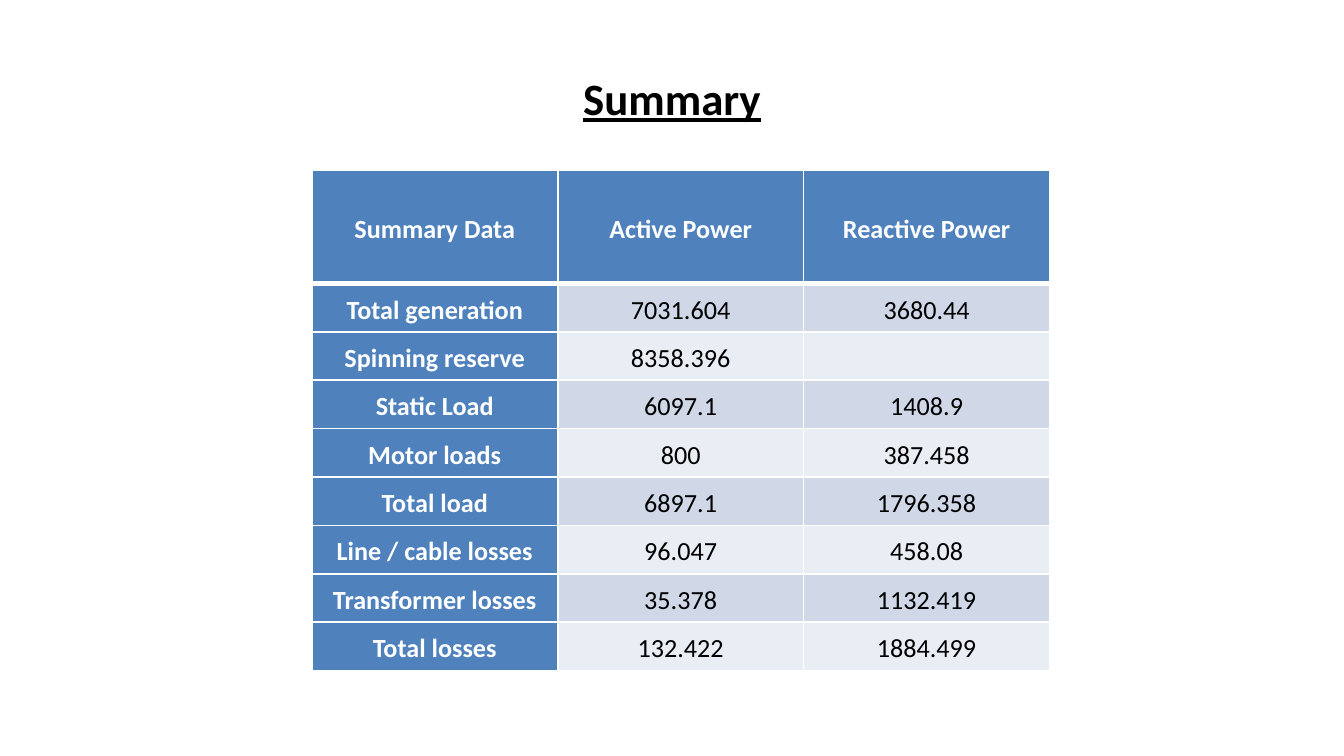
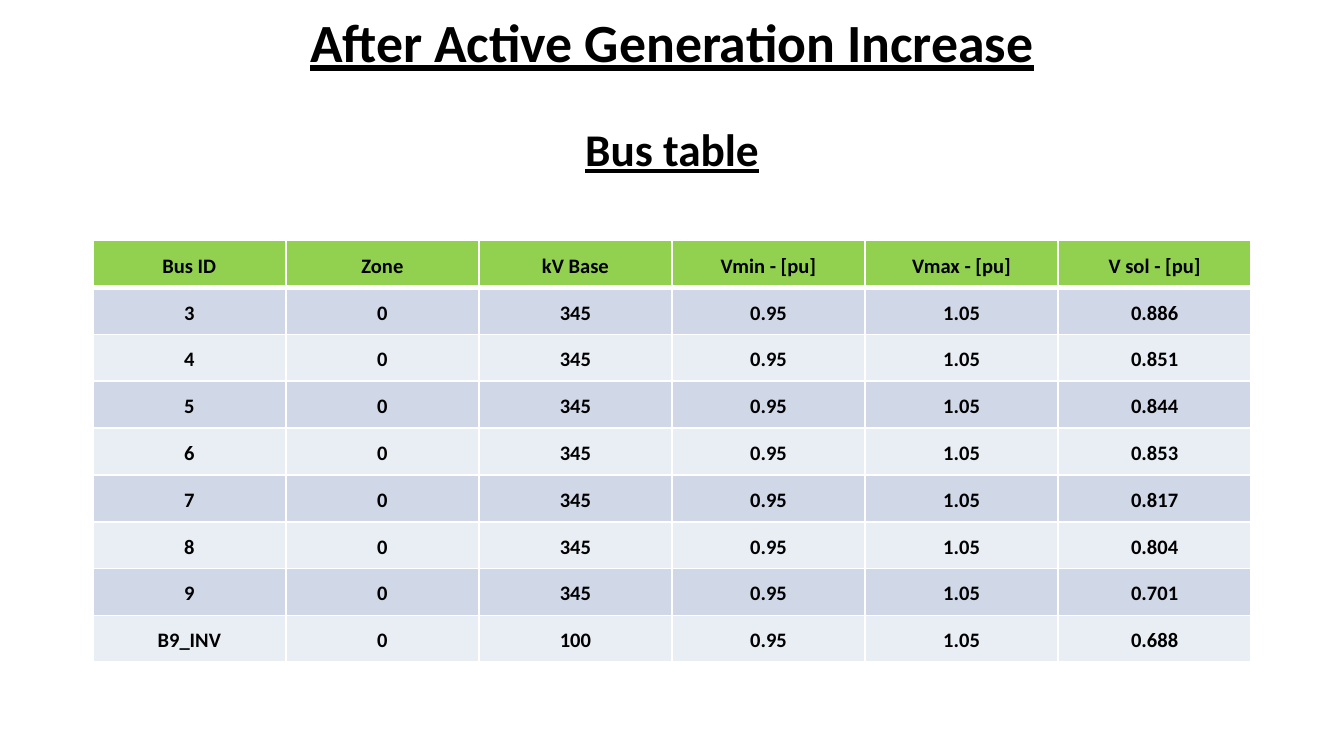
from dataclasses import dataclass

from lxml.etree import SubElement
from pptx import Presentation
from pptx.dml.color import RGBColor
from pptx.enum.text import MSO_ANCHOR, MSO_AUTO_SIZE, PP_ALIGN
from pptx.oxml.ns import qn
from pptx.util import Inches, Pt

FONT = "Calibri"
COLORS = {
    "black": "000000",
    "white": "FFFFFF",
    "blue": "4F81BD",
    "green": "92D050",
    "band_dark": "D0D8E8",
    "band_light": "E9EDF4",
}
SUMMARY_ROWS = [
    ("Summary Data", "Active Power", "Reactive Power"),
    ("Total generation", "7031.604", "3680.44"),
    ("Spinning reserve", "8358.396", ""),
    ("Static Load", "6097.1", "1408.9"),
    ("Motor loads", "800", "387.458"),
    ("Total load", "6897.1", "1796.358"),
    ("Line / cable losses", "96.047", "458.08"),
    ("Transformer losses", "35.378", "1132.419"),
    ("Total losses", "132.422", "1884.499"),
]
BUS_VOLTAGES = [
    ("3", "345", "0.886"),
    ("4", "345", "0.851"),
    ("5", "345", "0.844"),
    ("6", "345", "0.853"),
    ("7", "345", "0.817"),
    ("8", "345", "0.804"),
    ("9", "345", "0.701"),
    ("B9_INV", "100", "0.688"),
]
BUS_ROWS = [("Bus ID", "Zone", "kV Base", "Vmin - [pu]", "Vmax - [pu]", "V sol - [pu]")] + [
    (bus, "0", base, "0.95", "1.05", solved) for bus, base, solved in BUS_VOLTAGES
]


@dataclass
class TitleLine:
    text: str
    size: float
    space_before: float = 0


@dataclass
class DataTable:
    rows: list[tuple[str, ...]]
    left: float
    top: float
    width: float
    height: float
    header_height: float
    size: float
    header_fill: str
    header_text: str
    colored_first_column: bool
    bold_body: bool


@dataclass
class TableSlide:
    title_top: float
    title_height: float
    title_lines: list[TitleLine]
    table: DataTable


SLIDES = [
    TableSlide(
        0.18, 1.09, [TitleLine("Summary", 24)],
        DataTable(SUMMARY_ROWS, 2.32, 1.27, 5.49, 3.72, 0.84, 14,
                  "blue", "white", colored_first_column=True, bold_body=False),
    ),
    TableSlide(
        0.1, 1.17,
        [TitleLine("After Active Generation Increase", 28.8), TitleLine("Bus table", 24.3, 25.5)],
        DataTable(BUS_ROWS, 0.69, 1.79, 8.62, 3.14, 0.35, 11,
                  "green", "black", colored_first_column=False, bold_body=True),
    ),
]


def rgb(name: str) -> RGBColor:
    return RGBColor.from_string(COLORS[name])


def format_runs(p, size: float, color: str, bold: bool, underline: bool = False) -> None:
    p.alignment = PP_ALIGN.CENTER
    for r in p.runs:
        r.font.name = FONT
        r.font.size = Pt(size)
        r.font.bold = bold
        r.font.underline = underline
        r.font.color.rgb = rgb(color)


def add_title(s, top: float, height: float, lines: list[TitleLine]) -> None:
    title = s.shapes.title
    title.left, title.top = Inches(0.69), Inches(top)
    title.width, title.height = Inches(8.62), Inches(height)
    tf = title.text_frame
    tf.text = "\n".join(line.text for line in lines)
    tf.auto_size = MSO_AUTO_SIZE.NONE
    tf.vertical_anchor = MSO_ANCHOR.MIDDLE
    for p, line in zip(tf.paragraphs, lines):
        p.space_before = Pt(line.space_before)
        format_runs(p, line.size, "black", bold=True, underline=True)


def set_borders(cell, top: float, bottom: float) -> None:
    tc_pr = cell._tc.get_or_add_tcPr()
    for side, width in (("L", 1), ("R", 1), ("T", top), ("B", bottom)):
        line = SubElement(tc_pr, qn(f"a:ln{side}"), w=str(Pt(width)))
        fill = SubElement(line, qn("a:solidFill"))
        SubElement(fill, qn("a:srgbClr"), val=COLORS["white"])


def format_cell(cell, size: float, fill: str, color: str, bold: bool) -> None:
    cell.margin_left = cell.margin_right = Inches(0.06)
    cell.margin_top = cell.margin_bottom = 0
    cell.vertical_anchor = MSO_ANCHOR.MIDDLE
    cell.fill.solid()
    cell.fill.fore_color.rgb = rgb(fill)
    p = cell.text_frame.paragraphs[0]
    p.line_spacing = 1.15
    p.space_after = Pt(10)
    format_runs(p, size, color, bold)


def add_data_table(s, data: DataTable) -> None:
    row_count, column_count = len(data.rows), len(data.rows[0])
    row_height = (data.height - data.header_height) / (row_count - 1)
    table = s.shapes.add_table(
        row_count, column_count, Inches(data.left), Inches(data.top),
        Inches(data.width), Inches(data.height),
    ).table
    for column in table.columns:
        column.width = Inches(data.width / column_count)
    for i, values in enumerate(data.rows):
        table.rows[i].height = Inches(row_height if i else data.header_height)
        band = "band_dark" if i % 2 else "band_light"
        for j, value in enumerate(values):
            cell = table.cell(i, j)
            cell.text = value
            set_borders(cell, top=3 if i == 1 else 1, bottom=3 if i == 0 else 1)
            if i == 0 or (j == 0 and data.colored_first_column):
                format_cell(cell, data.size, data.header_fill, data.header_text, True)
            else:
                format_cell(cell, data.size, band, "black", data.bold_body)


def main() -> None:
    prs = Presentation()
    prs.slide_width = Inches(10)
    prs.slide_height = Inches(10 * 9 / 16)
    for content in SLIDES:
        s = prs.slides.add_slide(prs.slide_layouts[5])
        add_title(s, content.title_top, content.title_height, content.title_lines)
        add_data_table(s, content.table)
    prs.save("out.pptx")


if __name__ == "__main__":
    main()
